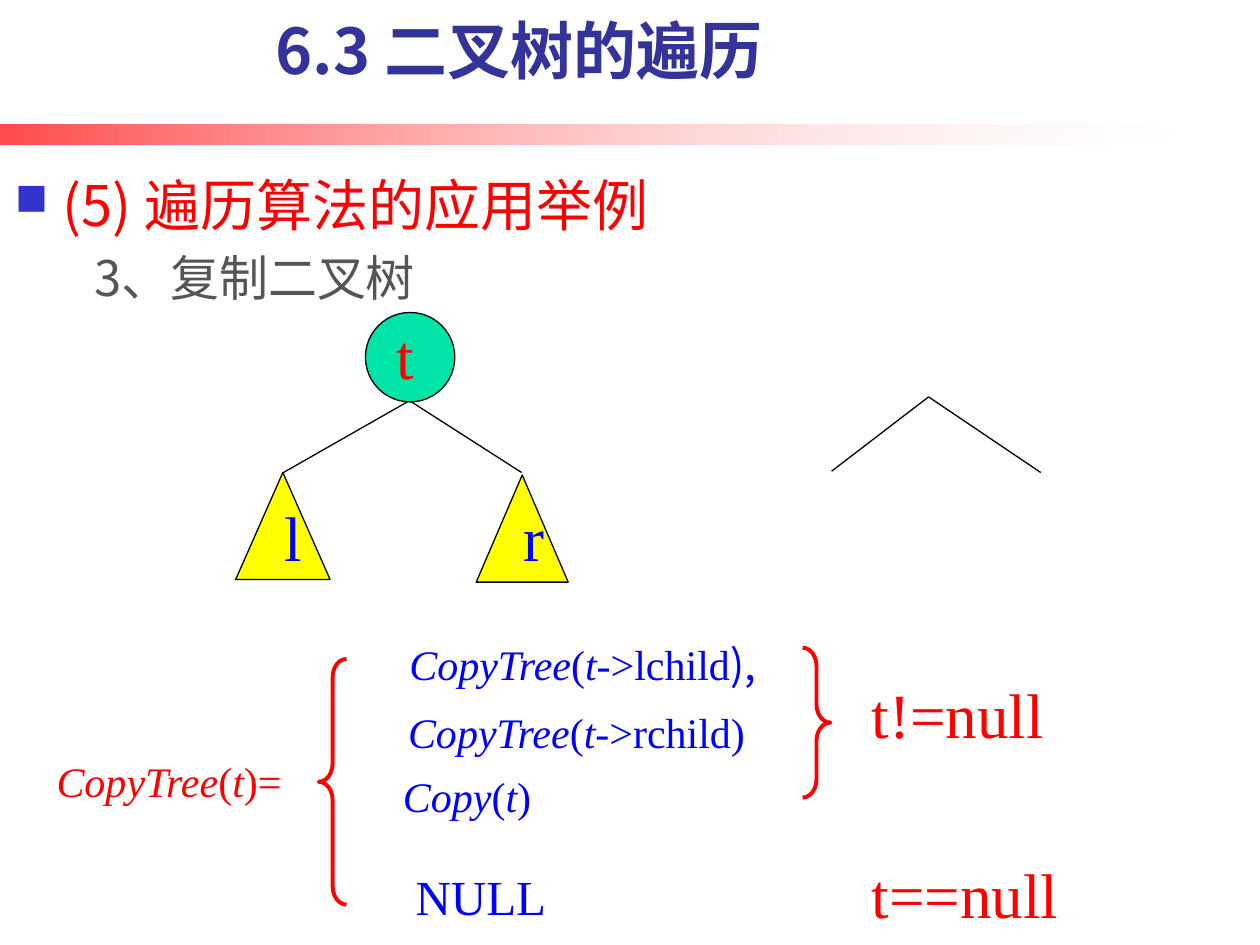
from pptx import Presentation
from pptx.dml.color import RGBColor
from pptx.enum.shapes import MSO_CONNECTOR, MSO_SHAPE as SHAPE
from pptx.enum.text import MSO_ANCHOR as ANCHOR, PP_ALIGN as ALIGN
from pptx.oxml.ns import qn
from pptx.util import Inches, Pt
from lxml.etree import SubElement

CJK, ROMAN = "Noto Sans CJK SC", "Times New Roman"
RED, BLUE, BLACK = "FF0000", "0000FF", "000000"

# text, box, size, colour
LABELS = [
    ("t", (3.05, 2.46, 0.34, 0.71), 36, RED),
    ("l", (2.16, 3.91, 0.34, 0.71), 36, BLUE),
    ("r", (4.06, 3.91, 0.37, 0.71), 36, BLUE),
    ("t!=null", (6.82, 5.31, 1.58, 0.71), 36, RED),
    ("t==null", (6.82, 6.74, 1.7, 0.71), 36, RED),
    ("NULL", (3.2, 6.83, 1.25, 0.57), 28, BLUE),
]
# name (italic), text after "(t", closing text in the CJK font, box, colour
CALLS = [
    ("CopyTree", "->lchild", "),", (3.15, 5.02, 3.62, 0.5), BLUE),
    ("CopyTree", "->rchild)", "", (3.14, 5.56, 3.23, 0.5), BLUE),
    ("Copy", ")", "", (3.1, 6.07, 3.23, 0.5), BLUE),
    ("CopyTree", ")=", "", (0.35, 5.95, 2.01, 0.5), RED),
]
# kind, box, fill
NODES = [
    (SHAPE.OVAL, (2.9, 2.48, 0.71, 0.71), "00E4A8"),
    (SHAPE.ISOSCELES_TRIANGLE, (1.87, 3.75, 0.75, 0.85), "FFFF00"),
    (SHAPE.ISOSCELES_TRIANGLE, (3.78, 3.77, 0.73, 0.85), "FFFF00"),
]
# top point, then the ends of its two branches
FORKS = [
    ((3.25, 3.18), (2.25, 3.75), (4.14, 3.75)),
    ((7.37, 3.15), (6.6, 3.74), (8.26, 3.75)),
]
BRACES = [
    (SHAPE.LEFT_BRACE, (2.53, 5.23, 0.22, 1.95)),
    (SHAPE.RIGHT_BRACE, (6.37, 5.14, 0.22, 1.19)),
]

prs = Presentation()
prs.slide_width, prs.slide_height = Inches(10), Inches(7.5)
slide = prs.slides.add_slide(prs.slide_layouts[6])
shapes = slide.shapes


def color(code):
    return RGBColor.from_string(code)


def place(box):
    return [Inches(v) for v in box]


def add_box(box, wrap=True, anchor=ANCHOR.TOP):
    """Add an empty text box and return its first paragraph."""
    frame = shapes.add_textbox(*place(box)).text_frame
    frame.word_wrap = wrap
    frame.vertical_anchor = anchor
    return frame.paragraphs[0]


def set_ea(font_owner):
    """Give a run or default properties element the East Asian font."""
    SubElement(font_owner, qn("a:ea")).set("typeface", CJK)


def style(para, size, code, name=ROMAN, bold=False):
    font = para.font
    font.size, font.name, font.bold = Pt(size), name, bold
    font.color.rgb = color(code)
    if name == CJK:
        set_ea(para._p.pPr.find(qn("a:defRPr")))


def indent(para, bullet=None):
    props = para._p.get_or_add_pPr()
    props.set("marL", str(Inches(0.38)))
    props.set("indent", str(-Inches(0.38)))
    if bullet:
        tint = SubElement(props, qn("a:buClr"))
        SubElement(tint, qn("a:srgbClr")).set("val", "3333CC")
        SubElement(props, qn("a:buSzPct")).set("val", "80000")
        SubElement(props, qn("a:buChar")).set("char", bullet)


def add_shape(kind, box, line=None, width=0.75, fill=None):
    shape = shapes.add_shape(kind, *place(box))
    shape.shadow.inherit = False
    if fill:
        shape.fill.solid()
        shape.fill.fore_color.rgb = color(fill)
    else:
        shape.fill.background()
    if line:
        shape.line.color.rgb = color(line)
        shape.line.width = Pt(width)
    else:
        shape.line.fill.background()
    return shape


def add_line(start, end):
    line = shapes.add_connector(MSO_CONNECTOR.STRAIGHT, *place(start + end))
    line.line.color.rgb = color(BLACK)
    line.line.width = Pt(0.75)
    SubElement(line._element.spPr, qn("a:effectLst"))


# Red band that fades to the right
band = add_shape(SHAPE.RECTANGLE, (0, 0.99, 9.29, 0.16))
band.fill.gradient()
band.fill.gradient_angle = 0
for stop, code, at in zip(band.fill.gradient_stops, (RED, "FFFFFF"), (0, 1)):
    stop.color.rgb, stop.position = color(code), at
for tint, alpha in zip(band._element.spPr.iter(qn("a:srgbClr")), (71, 18)):
    SubElement(tint, qn("a:alpha")).set("val", str(alpha * 1000))

# Headings
para = add_box((0.98, 0.03, 6.28, 0.71), anchor=ANCHOR.BOTTOM)
para.text, para.alignment = "6.3 二叉树的遍历", ALIGN.CENTER
style(para, 36, "333399", CJK, bold=True)

para = add_box((0.02, 1.23, 6.06, 0.71), anchor=ANCHOR.BOTTOM)
para.text, para.line_spacing = "(5) 遍历算法的应用举例", 1.15
indent(para, "■")
style(para, 32, RED, CJK)

para = add_box((0.65, 1.8, 5.43, 0.55))
para.text, para.line_spacing = "3、复制二叉树", 1.25
indent(para)
style(para, 28, "555555", CJK)

# Trees
for top, *ends in FORKS:
    for end in ends:
        add_line(top, end)
for kind, box, fill in NODES:
    add_shape(kind, box, BLACK, fill=fill)

# Formula
for kind, box in BRACES:
    brace = add_shape(kind, box, RED, 2.25)
    brace.adjustments[0] = 0.66
for text, box, size, code in LABELS:
    para = add_box(box, wrap=False)
    para.text = text
    style(para, size, code)
for name, rest, close, box, code in CALLS:
    para = add_box(box)
    style(para, 24, code)
    for text, slant in ((name, True), ("(", False), ("t", True), (rest, False)):
        run = para.add_run()
        run.text, run.font.italic = text, slant
    if close:
        run = para.add_run()
        run.text, run.font.name = close, CJK
        set_ea(run._r.rPr)

prs.save("out.pptx")
